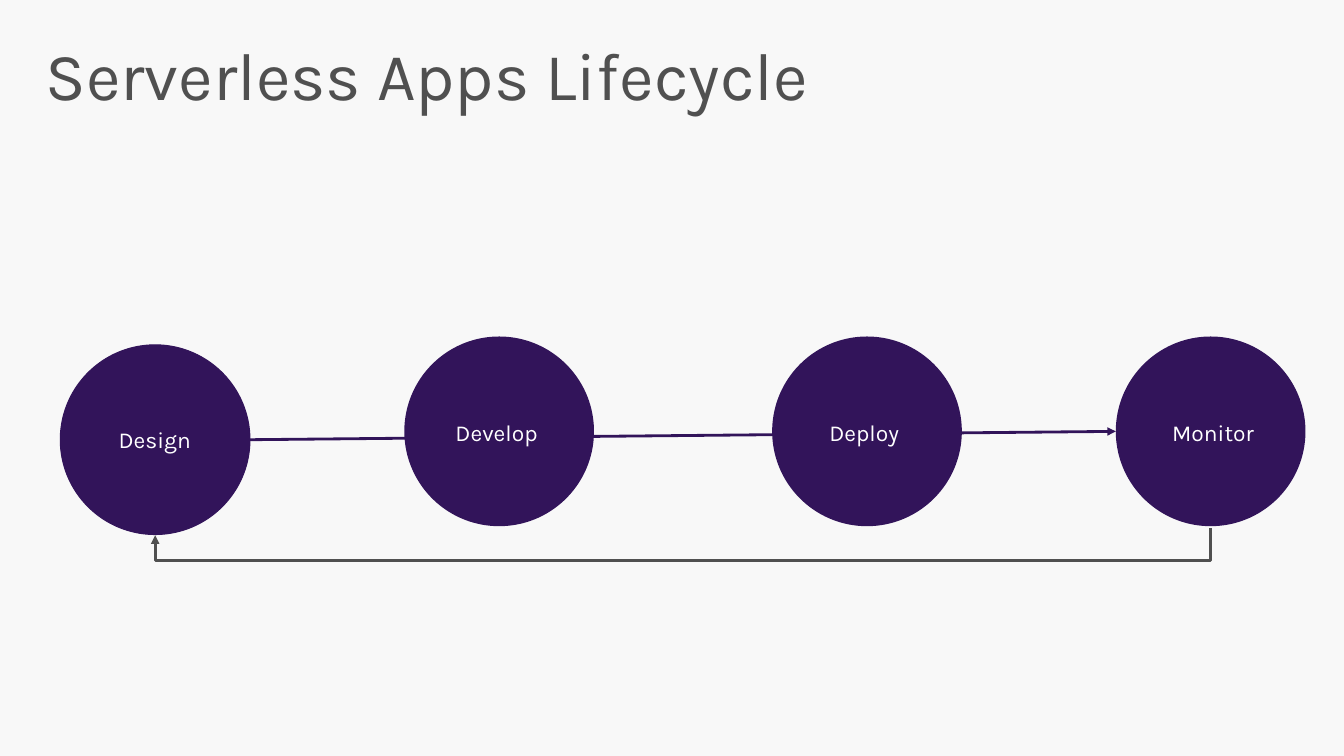
from dataclasses import dataclass

from lxml import etree
from pptx import Presentation
from pptx.dml.color import RGBColor
from pptx.enum.shapes import MSO_CONNECTOR, MSO_SHAPE
from pptx.oxml.ns import qn
from pptx.shapes.connector import Connector
from pptx.slide import Slide
from pptx.util import Cm, Pt

STRAIGHT = MSO_CONNECTOR.STRAIGHT
ELBOW = MSO_CONNECTOR.ELBOW
OVAL = MSO_SHAPE.OVAL

COLORS = {"background": "F8F8F8", "stage": "32145A", "gray": "505050", "label": "FFFFFF"}
FONT = "Karla"
DIAMETER = 4.78
LABEL_HEIGHT = 1.07
RETURN_START, RETURN_END, RETURN_LEVEL = 13.31, 13.49, 14.12


@dataclass(frozen=True)
class Stage:
    name: str
    left: float
    top: float
    label_left: float
    label_top: float
    label_width: float
    outlined: bool = False

    @property
    def center_x(self) -> float:
        return self.left + DIAMETER / 2

    @property
    def center_y(self) -> float:
        return self.top + DIAMETER / 2


STAGES = [
    Stage("Design", 1.52, 8.69, 2.74, 10.49, 2.39, outlined=True),
    Stage("Develop", 10.19, 8.48, 11.23, 10.31, 2.67),
    Stage("Deploy", 19.46, 8.48, 20.65, 10.31, 2.51),
    Stage("Monitor", 28.12, 8.48, 29.29, 10.31, 2.92),
]


def color(name: str) -> RGBColor:
    return RGBColor.from_string(COLORS[name])


def add_text(slide: Slide, text: str, left: float, top: float, width: float, height: float,
             size: float, color_name: str, side_inset: float = 0.25, spacing: float = 1.0) -> None:
    box = slide.shapes.add_textbox(Cm(left), Cm(top), Cm(width), Cm(height))
    frame = box.text_frame
    frame.text = text
    frame.word_wrap = True
    frame.margin_left = frame.margin_right = Cm(side_inset)
    frame.margin_top = frame.margin_bottom = Cm(0.25)
    paragraph = frame.paragraphs[0]
    paragraph.line_spacing = spacing
    font = paragraph.runs[0].font
    font.name = FONT
    font.size = Pt(size)
    font.color.rgb = color(color_name)


def add_circle(slide: Slide, stage: Stage) -> None:
    circle = slide.shapes.add_shape(OVAL, Cm(stage.left), Cm(stage.top), Cm(DIAMETER), Cm(DIAMETER))
    circle.shadow.inherit = False
    circle.fill.solid()
    circle.fill.fore_color.rgb = color("stage")
    if stage.outlined:
        circle.line.color.rgb = color("stage")
        circle.line.width = Pt(0.75)
    else:
        circle.line.fill.background()


def add_arrow(slide: Slide, kind: MSO_CONNECTOR, begin_x: float, begin_y: float,
              end_x: float, end_y: float, color_name: str) -> Connector:
    arrow = slide.shapes.add_connector(kind, Cm(begin_x), Cm(begin_y), Cm(end_x), Cm(end_y))
    arrow.line.color.rgb = color(color_name)
    arrow.line.width = Pt(2)
    properties = arrow._element.spPr
    etree.SubElement(properties.find(qn("a:ln")), qn("a:tailEnd"), type="triangle")
    etree.SubElement(properties, qn("a:effectLst"))
    return arrow


def add_return_arrow(slide: Slide, first: Stage, last: Stage) -> None:
    """Draw the elbow as an upright connector turned by 90 degrees about its centre."""
    span = last.center_x - first.center_x
    drop = RETURN_END - RETURN_START
    left = (first.center_x + last.center_x - drop) / 2
    top = (RETURN_START + RETURN_END - span) / 2
    arrow = add_arrow(slide, ELBOW, left, top, left + drop, top + span, "gray")
    properties = arrow._element.spPr
    properties.find(qn("a:xfrm")).set("rot", str(90 * 60000))
    bend = round((RETURN_LEVEL - RETURN_START) / drop * 100000)
    adjustments = properties.find(qn("a:prstGeom")).find(qn("a:avLst"))
    etree.SubElement(adjustments, qn("a:gd"), name="adj1", fmla=f"val {bend}")


def main() -> None:
    presentation = Presentation()
    presentation.slide_width = Cm(33.87)
    presentation.slide_height = Cm(19.05)
    slide = presentation.slides.add_slide(presentation.slide_layouts[6])
    slide.background.fill.solid()
    slide.background.fill.fore_color.rgb = color("background")

    add_text(slide, "Serverless Apps Lifecycle", 0.74, 0.81, 32.39, 2.49, 48, "gray",
             side_inset=0.41, spacing=0.9)
    first, last = STAGES[0], STAGES[-1]
    add_arrow(slide, STRAIGHT, first.left + DIAMETER, first.center_y,
              last.left, last.center_y, "stage")
    for stage in STAGES:
        add_circle(slide, stage)
        add_text(slide, stage.name, stage.label_left, stage.label_top, stage.label_width,
                 LABEL_HEIGHT, 16.3, "label")
    add_return_arrow(slide, first, last)
    presentation.save("out.pptx")


if __name__ == "__main__":
    main()
